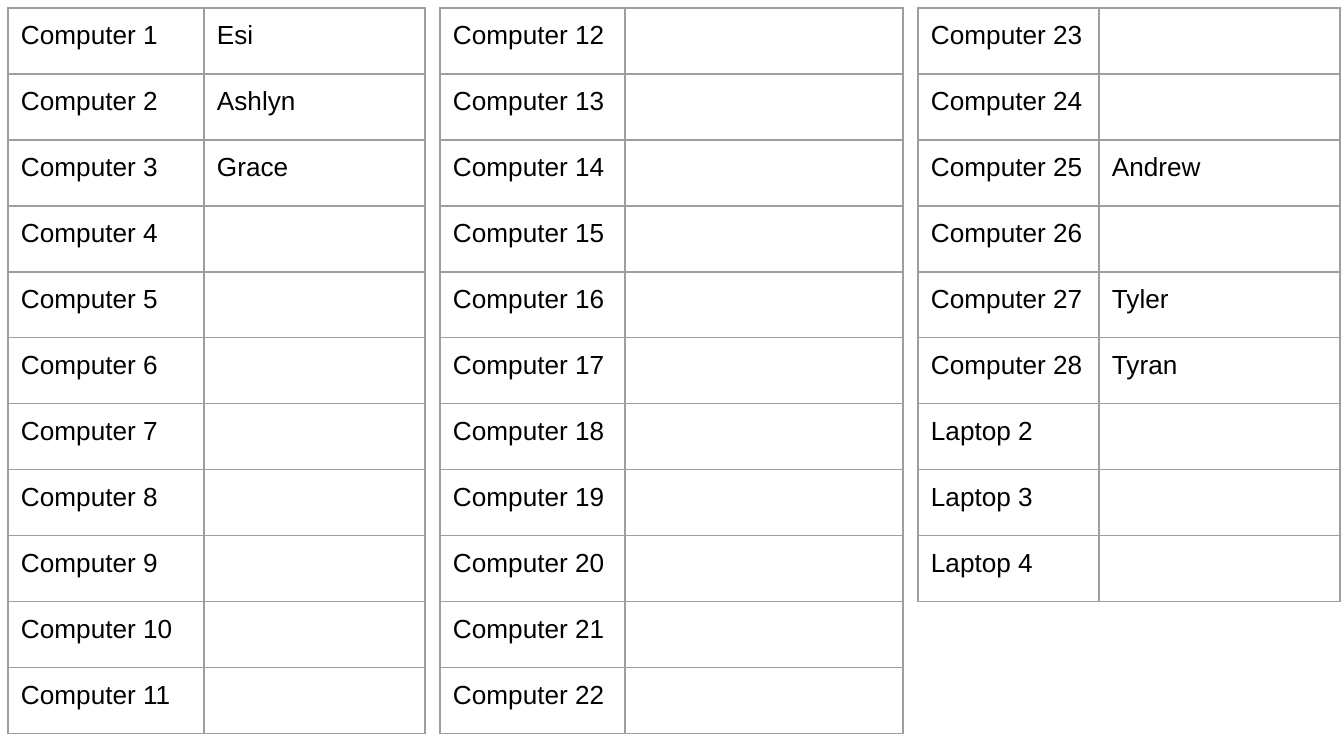
from dataclasses import dataclass, field

from lxml import etree
from pptx import Presentation
from pptx.dml.color import RGBColor
from pptx.oxml.ns import qn
from pptx.util import Emu, Pt

EMU_PER_PX = 914400 / 134.4
PAGE_WIDTH, PAGE_HEIGHT = 1344, 756
TABLE_TOP = 8
ROW_HEIGHT = 66
CELL_MARGIN = 13
FONT_NAME, FONT_SIZE = "Arial", 14
TEXT_COLOUR = "000000"
BORDER_COLOUR = "9E9E9E"
BORDER_WIDTH = Pt(0.75)
BORDER_TAGS = ("a:lnL", "a:lnR", "a:lnT", "a:lnB")


@dataclass
class SeatTable:
    left: int
    column_widths: tuple[int, int]
    devices: list[str]
    students: dict[str, str] = field(default_factory=dict)


def px(length: int) -> Emu:
    return Emu(round(length * EMU_PER_PX))


def colour(hex_value: str) -> RGBColor:
    return RGBColor.from_string(hex_value)


def computers(first: int, last: int) -> list[str]:
    return [f"Computer {number}" for number in range(first, last + 1)]


def add_borders(cell) -> None:
    properties = cell._tc.get_or_add_tcPr()
    for tag in BORDER_TAGS:
        line = etree.SubElement(properties, qn(tag), w=str(BORDER_WIDTH))
        fill = etree.SubElement(line, qn("a:solidFill"))
        etree.SubElement(fill, qn("a:srgbClr"), val=BORDER_COLOUR)


def fill_cell(cell, text: str) -> None:
    add_borders(cell)
    cell.fill.background()
    cell.margin_left = cell.margin_right = px(CELL_MARGIN)
    cell.margin_top = cell.margin_bottom = px(CELL_MARGIN)
    para = cell.text_frame.paragraphs[0]
    para.text = text
    for span in para.runs:
        span.font.name = FONT_NAME
        span.font.size = Pt(FONT_SIZE)
        span.font.color.rgb = colour(TEXT_COLOUR)
    if not text:
        # An empty cell keeps the row height only at the same text size
        etree.SubElement(para._p, qn("a:endParaRPr"), sz=str(FONT_SIZE * 100))


def draw_table(page, seats: SeatTable) -> None:
    row_count = len(seats.devices)
    table = page.shapes.add_table(
        row_count, 2, px(seats.left), px(TABLE_TOP),
        px(sum(seats.column_widths)), px(row_count * ROW_HEIGHT),
    ).table
    table.first_row = False
    table.horz_banding = False
    for column, width in zip(table.columns, seats.column_widths):
        column.width = px(width)
    for index, device in enumerate(seats.devices):
        table.rows[index].height = px(ROW_HEIGHT)
        fill_cell(table.cell(index, 0), device)
        fill_cell(table.cell(index, 1), seats.students.get(device, ""))


# Seating plan, one entry for each table
SEAT_TABLES = [
    SeatTable(8, (196, 221), computers(1, 11),
              {"Computer 1": "Esi", "Computer 2": "Ashlyn", "Computer 3": "Grace"}),
    SeatTable(440, (185, 278), computers(12, 22)),
    SeatTable(918, (181, 241),
              computers(23, 28) + ["Laptop 2", "Laptop 3", "Laptop 4"],
              {"Computer 25": "Andrew", "Computer 27": "Tyler", "Computer 28": "Tyran"}),
]


def main() -> None:
    deck = Presentation()
    deck.slide_width, deck.slide_height = px(PAGE_WIDTH), px(PAGE_HEIGHT)
    page = deck.slides.add_slide(deck.slide_layouts[6])
    for seats in SEAT_TABLES:
        draw_table(page, seats)
    deck.save("out.pptx")


if __name__ == "__main__":
    main()
